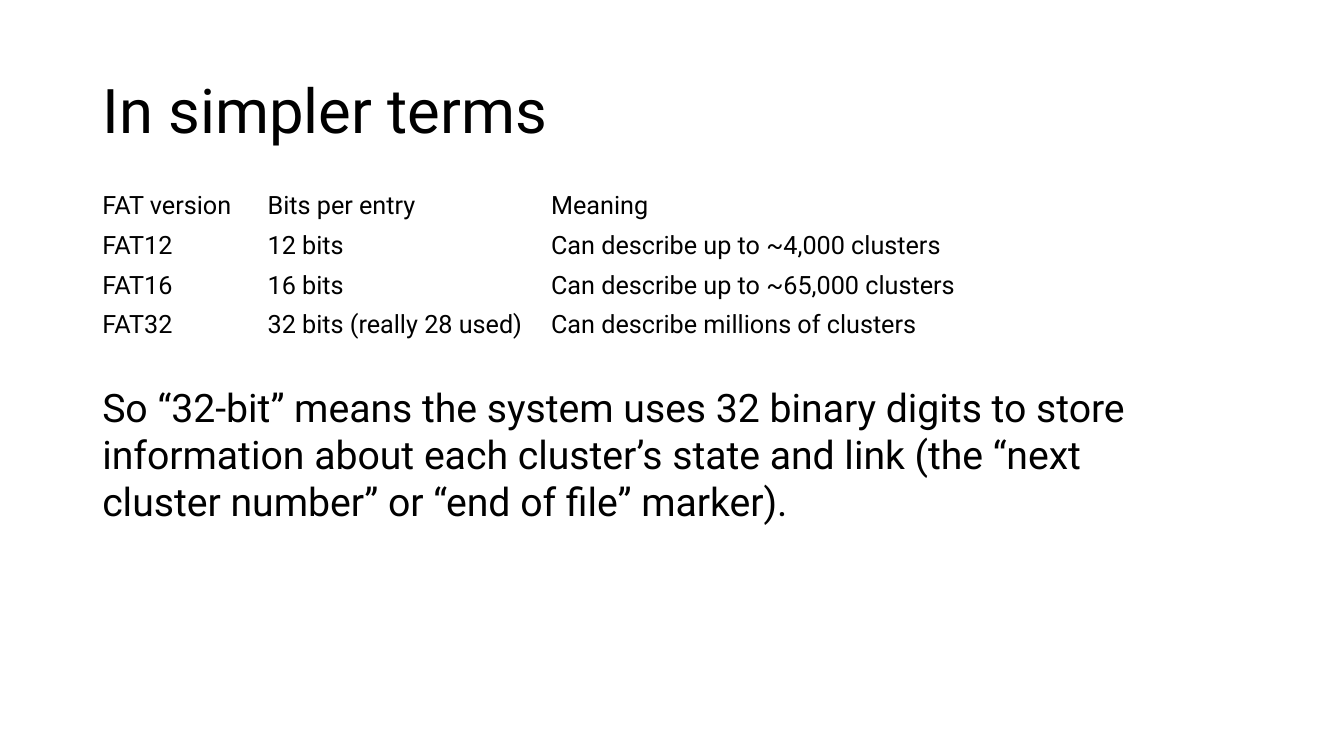
from dataclasses import dataclass

from pptx import Presentation
from pptx.dml.color import RGBColor as Color
from pptx.enum.text import MSO_ANCHOR as Anchor
from pptx.enum.text import MSO_AUTO_SIZE as Fit
from pptx.enum.text import PP_ALIGN as Align
from pptx.util import Pt


@dataclass(frozen=True)
class Theme:
    """Hold the colours, font and type sizes."""
    ink: Color = Color(0, 0, 0)
    font: str = "Roboto"
    title: int = 44
    body: int = 28
    cell: int = 18


THEME = Theme()
LEFT = 66
WIDTH = 828
COLS = (118, 202.5, 507.5)
ROW = 28.3
ROWS = (
    ("FAT version", "Bits per entry", "Meaning"),
    ("FAT12", "12 bits", "Can describe up to ~4,000 clusters"),
    ("FAT16", "16 bits", "Can describe up to ~65,000 clusters"),
    ("FAT32", "32 bits (really 28 used)", "Can describe millions of clusters"),
)
NOTE = (
    "So “32-bit” means the system uses 32 binary digits to store "
    "information about each cluster’s state and link "
    "(the “next cluster number” or “end of file” marker)."
)


def write(frame, text, size=THEME.body, space=None):
    """Put one left-aligned paragraph in a text frame."""
    para = frame.paragraphs[0]
    para.alignment = Align.LEFT
    para.line_spacing = space
    run = para.add_run()
    run.text = text
    run.font.name = THEME.font
    run.font.size = Pt(size)
    run.font.color.rgb = THEME.ink


def add_title(slide, text):
    """Place and fill the title."""
    title = slide.shapes.title
    title.left, title.top = Pt(LEFT), Pt(28.75)
    title.width, title.height = Pt(WIDTH), Pt(104.4)
    frame = title.text_frame
    frame.vertical_anchor = Anchor.MIDDLE
    frame.auto_size = Fit.NONE
    write(frame, text, size=THEME.title, space=0.9)


def add_grid(slide, rows, top):
    """Add a plain table without fills or banding."""
    shape = slide.shapes.add_table(
        len(rows), len(COLS), Pt(LEFT), Pt(top), Pt(WIDTH), Pt(ROW * len(rows)))
    table = shape.table
    table.first_row = table.horz_banding = False
    for col, width in zip(table.columns, COLS):
        col.width = Pt(width)
    for line, texts in zip(table.rows, rows):
        line.height = Pt(ROW)
        for cell, text in zip(line.cells, texts):
            cell.fill.background()
            cell.vertical_anchor = Anchor.MIDDLE
            write(cell.text_frame, text, size=THEME.cell)


def add_note(slide, text, top):
    """Add a wrapped text box."""
    box = slide.shapes.add_textbox(Pt(LEFT), Pt(top), Pt(800), Pt(108.7))
    frame = box.text_frame
    frame.word_wrap = True
    frame.auto_size = Fit.SHAPE_TO_FIT_TEXT
    write(frame, text)


def main():
    """Build and save the slide."""
    deck = Presentation()
    deck.slide_width, deck.slide_height = Pt(960), Pt(540)
    slide = deck.slides.add_slide(deck.slide_layouts[5])
    add_title(slide, "In simpler terms")
    add_grid(slide, ROWS, 133.2)
    add_note(slide, NOTE, 270)
    deck.save("out.pptx")


if __name__ == "__main__":
    main()
